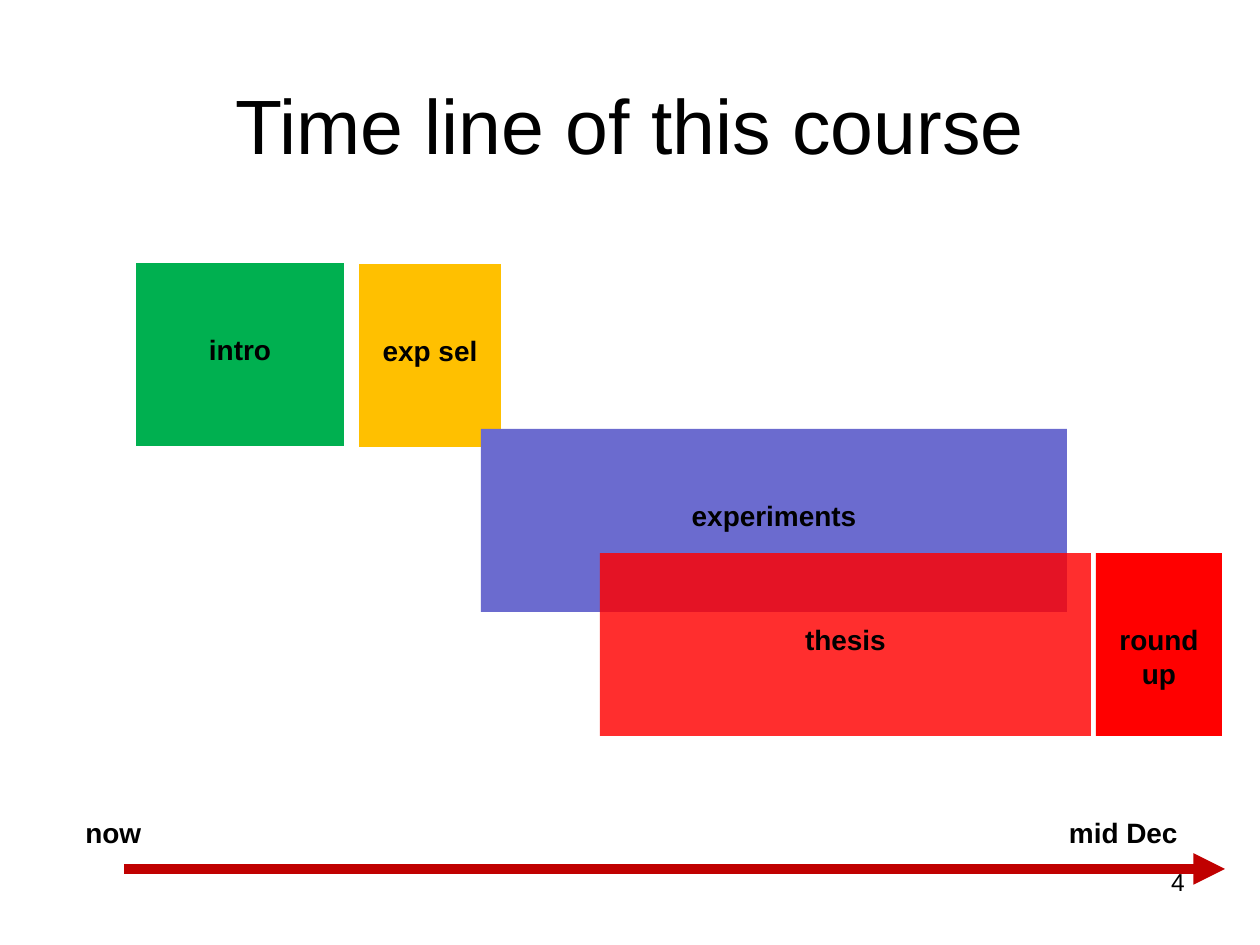
from lxml import etree
from pptx import Presentation
from pptx.dml.color import RGBColor
from pptx.enum.shapes import MSO_CONNECTOR, MSO_SHAPE
from pptx.enum.text import MSO_ANCHOR, PP_ALIGN
from pptx.oxml.ns import qn
from pptx.util import Pt

LEFT, MID, RIGHT = PP_ALIGN.LEFT, PP_ALIGN.CENTER, PP_ALIGN.RIGHT
TOP, CENTRE = MSO_ANCHOR.TOP, MSO_ANCHOR.MIDDLE
RECT, LINE = MSO_SHAPE.RECTANGLE, MSO_CONNECTOR.STRAIGHT
EMU = 914400 / 126
COLORS = {"ink": "000000", "green": "00B050", "gold": "FFC000",
          "blue": "6B6BCF", "red": "FF0000", "arrow": "C00000"}
HIGH = 183   # height of every phase
DROP = 70    # inset that puts a phase name on its third line


def px(n):
    return round(n * EMU)


def tint(name):
    return RGBColor.from_string(COLORS[name])


class Deck:
    font = "Arial"

    def __init__(self, wide, high):
        self.prs = Presentation()
        self.prs.slide_width, self.prs.slide_height = px(wide), px(high)
        self.slide = self.prs.slides.add_slide(self.prs.slide_layouts[6])

    def label(self, shape, words, size, bold, align, anchor):
        frame = shape.text_frame
        frame.word_wrap = True
        frame.vertical_anchor = anchor
        para = frame.paragraphs[0]
        para.text = words
        para.alignment = align
        font = para.font
        font.name, font.size, font.bold = self.font, Pt(size), bold
        font.color.rgb = tint("ink")

    def text(self, words, box, size=16, bold=True, align=LEFT, anchor=TOP):
        shape = self.slide.shapes.add_textbox(*map(px, box))
        self.label(shape, words, size, bold, align, anchor)

    def phase(self, words, left, top, wide, color, alpha=100):
        """Add a named block; alpha is its opacity in percent."""
        shape = self.slide.shapes.add_shape(
            RECT, px(left), px(top), px(wide), px(HIGH))
        shape.shadow.inherit = False
        shape.line.fill.background()
        shape.fill.solid()
        shape.fill.fore_color.rgb = tint(color)
        if alpha < 100:
            tone = shape._element.spPr.find(".//" + qn("a:srgbClr"))
            etree.SubElement(tone, qn("a:alpha"), val=str(alpha * 1000))
        self.label(shape, words, 16, True, MID, TOP)
        shape.text_frame.margin_top = px(DROP)

    def arrow(self, left, right, y, color, width):
        line = self.slide.shapes.add_connector(
            LINE, px(left), px(y), px(right), px(y))
        line.line.color.rgb = tint(color)
        line.line.width = Pt(width)
        props = line._element.spPr
        etree.SubElement(props.find(qn("a:ln")), qn("a:tailEnd"),
                         type="triangle")
        etree.SubElement(props, qn("a:effectLst"))


def main():
    deck = Deck(1260, 945)
    deck.text("Time line of this course", (63, 45, 1134, 158), 44, False,
              MID, CENTRE)
    deck.text("4", (903, 861, 294, 66), 14, False, RIGHT)
    for phase in (
        ("intro", 136, 263, 208, "green"),
        ("exp sel", 359, 264, 142, "gold"),
        ("experiments", 481, 429, 586, "blue"),
        ("thesis", 600, 553, 491, "red", 82),
        ("round up", 1096, 553, 126, "red"),
    ):
        deck.phase(*phase)
    deck.arrow(124, 1225, 869, "arrow", 6)
    deck.text("now", (73, 809, 150, 47))
    deck.text("mid Dec", (1000, 809, 190, 47), align=RIGHT)
    deck.prs.save("out.pptx")


if __name__ == "__main__":
    main()
